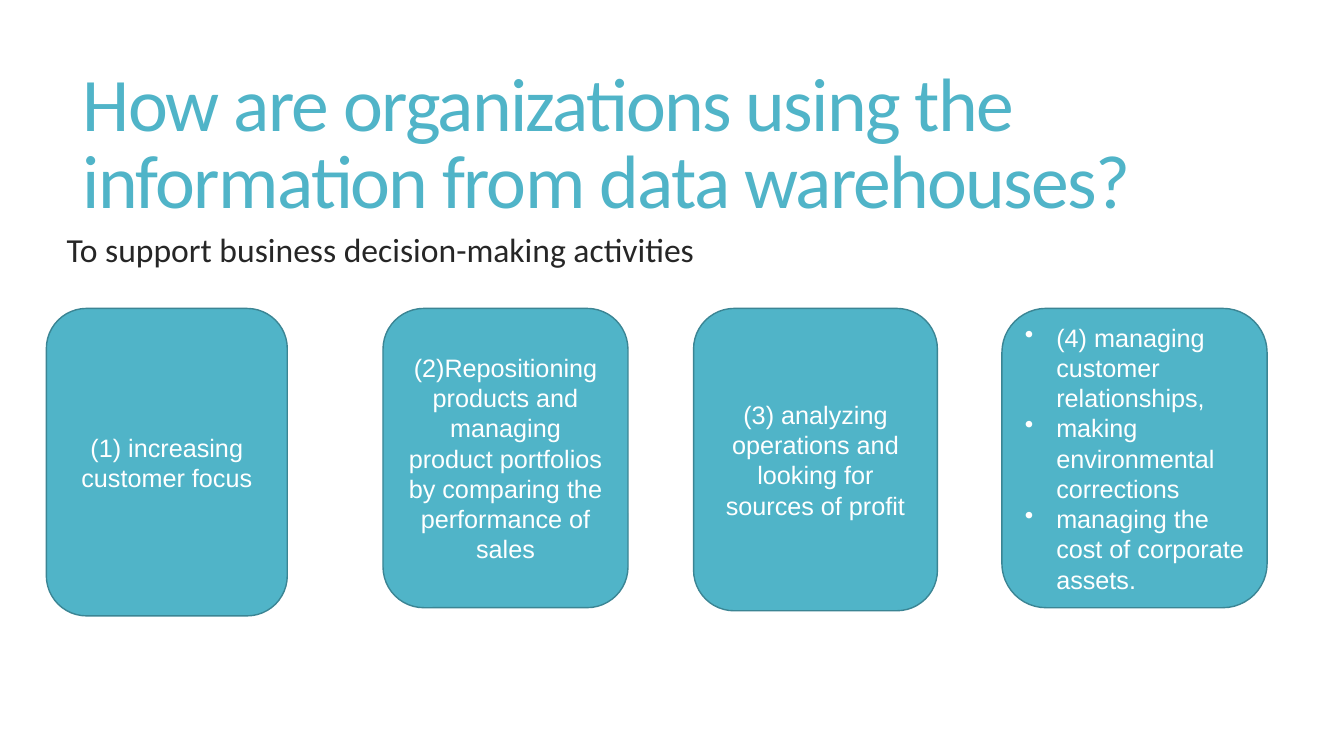
import pptx
import pptx.dml.color
import pptx.enum.shapes
import pptx.enum.text
import pptx.oxml
import pptx.oxml.ns
import pptx.util

Pt = pptx.util.Pt
ALIGN = pptx.enum.text.PP_ALIGN
ANCHOR = pptx.enum.text.MSO_ANCHOR

COLORS = {"teal": "50B4C8", "edge": "3B8594", "dark": "262626", "white": "FFFFFF"}


def color(name):
    return pptx.dml.color.RGBColor.from_string(COLORS[name])


class SlideBuilder:
    """Holds the style and the current slide."""

    styles = {
        "title": {"name": "Calibri", "size": Pt(54)},
        "body": {"name": "Calibri", "size": Pt(24)},
        "card": {"name": "Arial", "size": Pt(18)},
    }

    def __init__(self, deck):
        self.slide = deck.slides.add_slide(deck.slide_layouts[1])

    def place(self, shape, bounds):
        for side, value in zip(("left", "top", "width", "height"), bounds):
            setattr(shape, side, Pt(value))

    def prepare(self, shape, anchor):
        settings = {
            "word_wrap": True,
            "auto_size": pptx.enum.text.MSO_AUTO_SIZE.NONE,
            "vertical_anchor": anchor,
        }
        for key, value in settings.items():
            setattr(shape.text_frame, key, value)

    def add_text(self, para, text, style, ink, layout, indent=0, hanging=0, bullet=None):
        properties = para._p.get_or_add_pPr()
        properties.set("marL", str(Pt(indent)))
        properties.set("indent", str(Pt(-hanging)))
        mark = pptx.oxml.parse_xml(
            f'<a:{"buChar" if bullet else "buNone"} {pptx.oxml.ns.nsdecls("a")}/>'
        )
        if bullet:
            mark.set("char", bullet)
        properties.append(mark)
        for key, value in layout.items():
            setattr(para, key, value)
        span = para.add_run()
        span.text = text
        for key, value in self.styles[style].items():
            setattr(span.font, key, value)
        span.font.color.rgb = color(ink)
        return span

    def title(self, text, bounds):
        box = self.slide.shapes.title
        self.place(box, bounds)
        self.prepare(box, ANCHOR.MIDDLE)
        layout = {"alignment": ALIGN.LEFT, "line_spacing": 0.85}
        span = self.add_text(box.text_frame.paragraphs[0], text, "title", "teal", layout)
        span._r.get_or_add_rPr().set("spc", "-120")

    def body(self, text, bounds):
        box = self.slide.placeholders[1]
        self.place(box, bounds)
        self.prepare(box, ANCHOR.TOP)
        layout = {"alignment": ALIGN.LEFT, "line_spacing": 0.85, "space_before": Pt(0)}
        self.add_text(box.text_frame.paragraphs[0], text, "body", "dark", layout, indent=7.2)

    def card(self, lines, bounds):
        box = self.slide.shapes.add_shape(
            pptx.enum.shapes.MSO_SHAPE.ROUNDED_RECTANGLE, *map(Pt, bounds)
        )
        box.shadow.inherit = False
        box.fill.solid()
        box.fill.fore_color.rgb = color("teal")
        box.line.color.rgb = color("edge")
        box.line.width = Pt(1)
        self.prepare(box, ANCHOR.MIDDLE)
        listed = len(lines) > 1
        marks = {"indent": 22.5, "hanging": 22.5, "bullet": "•"} if listed else {}
        layout = {"alignment": ALIGN.LEFT if listed else ALIGN.CENTER}
        frame = box.text_frame
        for number, line in enumerate(lines):
            para = frame.add_paragraph() if number else frame.paragraphs[0]
            self.add_text(para, line, "card", "white", layout, **marks)


def main():
    deck = pptx.Presentation()
    deck.slide_width, deck.slide_height = Pt(960), Pt(540)
    page = SlideBuilder(deck)

    # Heading and lead-in
    page.title(
        "How are organizations using the information from data warehouses?",
        (51.8, 39.6, 848.2, 130.3),
    )
    page.body("To support business decision-making activities", (33.1, 164.2, 792, 56.2))

    # Row of cards: left, width, height, lines
    cards = [
        (33.1, 172.1, 219.6, ["(1) increasing customer focus"]),
        (273.6, 175, 213.8, [
            "(2)Repositioning products and managing product portfolios "
            "by comparing the performance of sales",
        ]),
        (495.4, 174.2, 216, ["(3) analyzing operations and looking for sources of profit"]),
        (715.7, 189.4, 213.8, [
            "(4) managing customer relationships,",
            "making environmental corrections",
            "managing the cost of corporate assets.",
        ]),
    ]
    for left, width, height, lines in cards:
        page.card(lines, (left, 220.3, width, height))

    deck.save("out.pptx")


if __name__ == "__main__":
    main()
